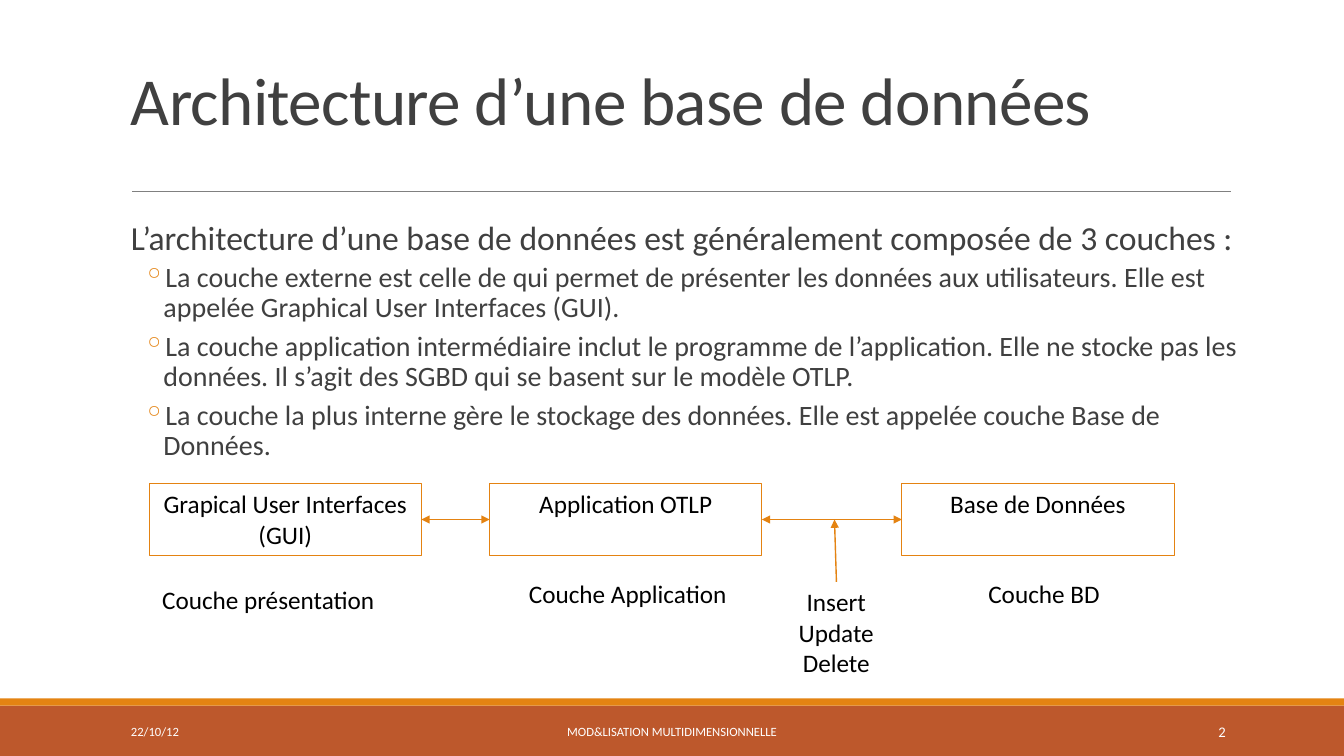
from dataclasses import dataclass

from lxml import etree
from pptx import Presentation
from pptx.dml.color import RGBColor
from pptx.enum import shapes, text
from pptx.oxml import ns
from pptx.util import Cm, Pt

# Content
TITLE = "Architecture d’une base de données"
INTRO = "L’architecture d’une base de données est généralement composée de 3 couches :"
LAYERS = [
    "La couche externe est celle de qui permet de présenter les données aux utilisateurs. "
    "Elle est appelée Graphical User Interfaces (GUI).",
    "La couche application intermédiaire inclut le programme de l’application. "
    "Elle ne stocke pas les données. Il s’agit des SGBD qui se basent sur le modèle OTLP.",
    "La couche la plus interne gère le stockage des données. "
    "Elle est appelée couche Base de Données.",
]
# Box label, box left, caption, caption left, caption top (cm)
STAGES = [
    ("Grapical User Interfaces (GUI)", 3.76, "Couche présentation", 3.18, 14.61),
    ("Application OTLP", 12.34, "Couche Application", 12.24, 14.45),
    ("Base de Données", 22.73, "Couche BD", 22.73, 14.45),
]
OPERATIONS = ["Insert", "Update", "Delete"]
LEFT, CENTER, RIGHT = text.PP_ALIGN.LEFT, text.PP_ALIGN.CENTER, text.PP_ALIGN.RIGHT
# Text, left, width (cm), alignment, theme size
FOOTER = [
    ("22/10/12", 3.05, 6.86, LEFT, "footer"),
    ("MOD&LISATION MULTIDIMENSIONNELLE", 10.24, 13.39, CENTER, "footer"),
    ("2", 27.51, 3.63, RIGHT, "number"),
]


@dataclass(frozen=True)
class Theme:
    font: str = "Calibri"
    accent: str = "E48312"
    band: str = "BD582C"
    rule: str = "808080"
    dark: str = "404040"
    black: str = "000000"
    white: str = "FFFFFF"
    title: float = 48
    intro: float = 24
    layer: float = 20
    label: float = 18
    footer: float = 9
    number: float = 10.5


theme = Theme()
PAGE_W, PAGE_H = 33.87, 19.05
BOX_TOP, BOX_W, BOX_H = 12.19, 6.86, 1.8

deck = Presentation()
deck.slide_width, deck.slide_height = Cm(PAGE_W), Cm(PAGE_H)
page = deck.slides.add_slide(deck.slide_layouts[6])


def color(code):
    return RGBColor.from_string(code)


def style(para, size, code, align=LEFT):
    para.alignment = align
    para.font.name, para.font.size = theme.font, Pt(size)
    para.font.color.rgb = color(code)


def space(para, line, before, after):
    para.line_spacing = line
    para.space_before, para.space_after = Pt(before), Pt(after)


def indent(para, left, hanging=0.0, bullet=None):
    props = para._p.get_or_add_pPr()
    props.set("marL", str(Cm(left)))
    props.set("indent", str(-Cm(hanging)))
    if bullet:
        tint = etree.SubElement(props, ns.qn("a:buClr"))
        etree.SubElement(tint, ns.qn("a:srgbClr"), val=theme.accent)
        etree.SubElement(props, ns.qn("a:buChar"), char=bullet)


def fill_frame(shape, lines, anchor=text.MSO_ANCHOR.TOP):
    frame = shape.text_frame
    frame.word_wrap = True
    frame.vertical_anchor = anchor
    frame.text = "\n".join(lines)
    return frame


def add_text(lines, left, top, width, height, anchor=text.MSO_ANCHOR.TOP):
    box = page.shapes.add_textbox(Cm(left), Cm(top), Cm(width), Cm(height))
    return fill_frame(box, lines, anchor)


def add_label(lines, left, top, width, height):
    for para in add_text(lines, left, top, width, height).paragraphs:
        style(para, theme.label, theme.black, CENTER)


def add_rect(left, top, width, height, fill=None):
    rect = page.shapes.add_shape(
        shapes.MSO_SHAPE.RECTANGLE, Cm(left), Cm(top), Cm(width), Cm(height))
    rect.shadow.inherit = False
    if fill:
        rect.fill.solid()
        rect.fill.fore_color.rgb = color(fill)
        rect.line.fill.background()
    else:
        rect.fill.background()
        rect.line.color.rgb = color(theme.accent)
        rect.line.width = Pt(0.75)
    return rect


def add_line(x1, y1, x2, y2, code, width, ends=()):
    line = page.shapes.add_connector(
        shapes.MSO_CONNECTOR.STRAIGHT, Cm(x1), Cm(y1), Cm(x2), Cm(y2))
    line.line.color.rgb = color(code)
    line.line.width = Pt(width)
    for end in ends:
        etree.SubElement(line.line._get_or_add_ln(), ns.qn("a:" + end), type="triangle")
    etree.SubElement(line._element.spPr, ns.qn("a:effectLst"))
    return line


# Bottom bands and title rule
add_rect(0, 17.78, PAGE_W, PAGE_H - 17.78, theme.band)
add_rect(0, 17.6, PAGE_W, 0.18, theme.accent)
add_line(3.33, 4.83, 31.01, 4.83, theme.rule, 0.5)

# Title
heading = add_text([TITLE], 3.05, 1.3, 27.94, 2.34, text.MSO_ANCHOR.BOTTOM).paragraphs[0]
heading.line_spacing = 0.85
style(heading, theme.title, theme.dark)
heading.runs[0].font._element.set("spc", "-50")

# Body
body = add_text([INTRO, *LAYERS], 3.05, 5.46, 28.4, 6.73)
body.margin_left = body.margin_right = 0
intro, *layers = body.paragraphs
space(intro, 0.9, 12, 2)
indent(intro, 0.25)
style(intro, theme.intro, theme.dark)
for layer in layers:
    space(layer, 0.9, 2, 4)
    indent(layer, 1.07, 0.51, "◦")
    style(layer, theme.layer, theme.dark)

# Layer boxes with captions
boxes = []
for label, left, caption, caption_left, caption_top in STAGES:
    box = add_rect(left, BOX_TOP, BOX_W, BOX_H)
    style(fill_frame(box, [label]).paragraphs[0], theme.label, theme.black, CENTER)
    boxes.append(box)
    add_label([caption], caption_left, caption_top, 7.16, 1.02)

# Arrows between neighbouring boxes
middle = BOX_TOP + BOX_H / 2
for first, second in zip(boxes, boxes[1:]):
    link = add_line(0, middle, 1, middle, theme.accent, 1, ("headEnd", "tailEnd"))
    link.begin_connect(first, 3)
    link.end_connect(second, 1)

# Operations sent to the database
add_label(OPERATIONS, 19.41, 14.66, 3.33, 2.57)
add_line(21.08, 14.66, 21.03, middle, theme.accent, 1, ("tailEnd",))

# Footer
for words, left, width, align, size in FOOTER:
    frame = add_text([words], left, 17.93, width, 1.02, text.MSO_ANCHOR.MIDDLE)
    style(frame.paragraphs[0], getattr(theme, size), theme.white, align)

deck.save("out.pptx")
